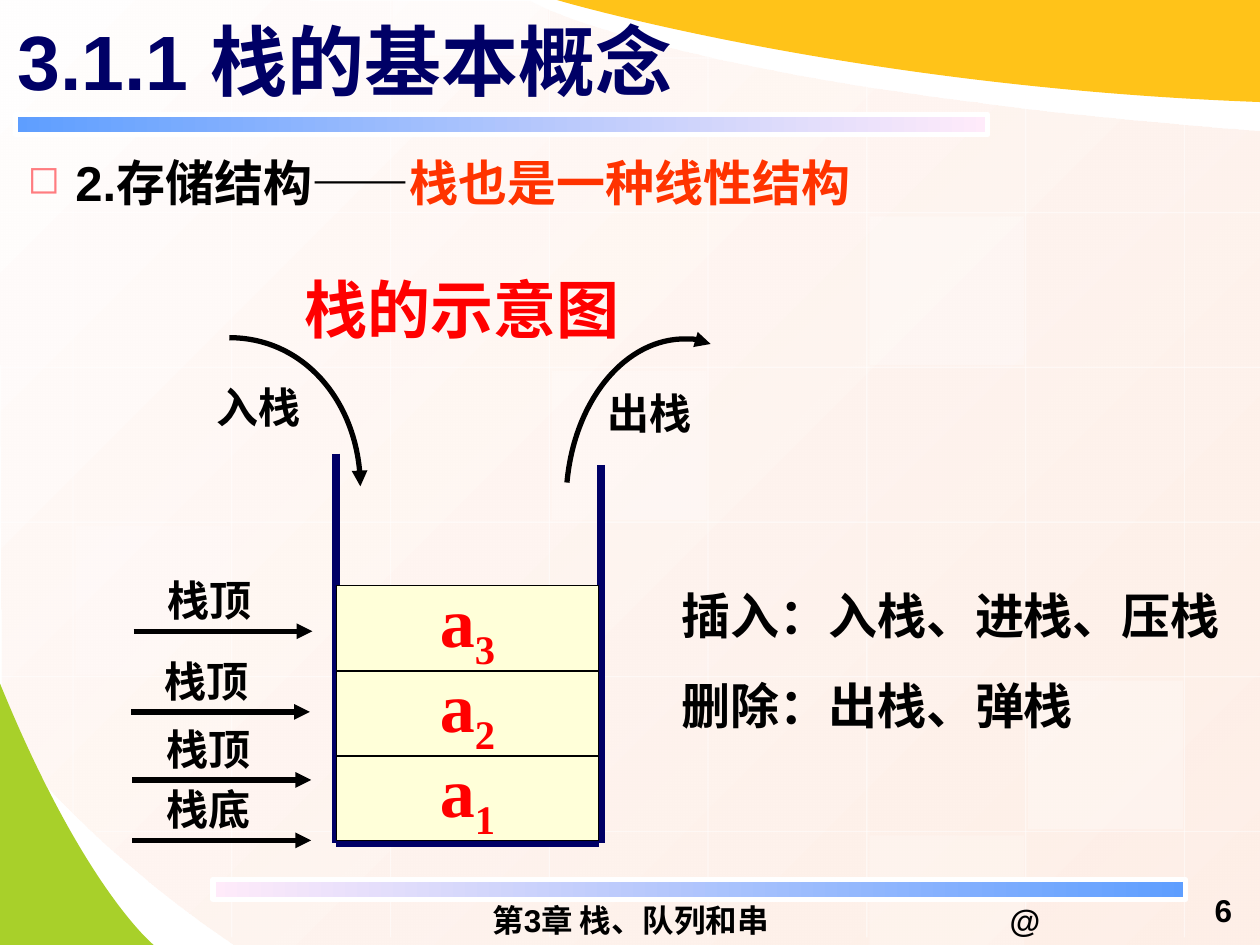
from dataclasses import dataclass

import pptx
import pptx.dml.color
import pptx.enum.shapes
import pptx.enum.text
import pptx.oxml.ns
import pptx.util
from lxml import etree

Color = pptx.dml.color.RGBColor
Align = pptx.enum.text.PP_ALIGN
Anchor = pptx.enum.text.MSO_ANCHOR
qn = pptx.oxml.ns.qn

WIDTH = pptx.util.Inches(10)
HEIGHT = pptx.util.Inches(7.5)
COLUMN = WIDTH / 100
ROW = HEIGHT / 75

WHITE = Color(0xFF, 0xFF, 0xFF)
BLACK = Color(0x00, 0x00, 0x00)
NAVY = Color(0x00, 0x00, 0x66)
RED = Color(0xFF, 0x00, 0x00)
ORANGE_RED = Color(0xFF, 0x33, 0x00)
CREAM = Color(0xFF, 0xFF, 0xD9)
GREEN = Color(0xA8, 0xD0, 0x2A)
AMBER = Color(0xFF, 0xC3, 0x19)
SNOW = Color(0xFF, 0xFE, 0xFE)
PEACH = Color(0xFE, 0xE9, 0xDE)
BLUE = Color(0x5E, 0x9E, 0xFF)
PINK = Color(0xFF, 0xEB, 0xFA)
BULLET = Color(0xFF, 0x7C, 0x80)


@dataclass
class Box:
    left: float
    top: float
    width: float
    height: float

    def inner(self, left, top, width, height):
        return Box(self.left + left, self.top + top, width, height)

    def point(self, x, y):
        return round((self.left + x) * COLUMN), round((self.top + y) * ROW)

    def frame(self):
        return (*self.point(0, 0), round(self.width * COLUMN), round(self.height * ROW))


def set_alpha(parent, percent):
    color = list(parent.iter(qn("a:srgbClr")))[-1]
    etree.SubElement(color, qn("a:alpha")).set("val", str(percent * 1000))


def add_arrowhead(properties):
    etree.SubElement(properties.find(qn("a:ln")), qn("a:tailEnd")).set("type", "triangle")


def blend(fill, first, last, angle):
    fill.gradient()
    fill.gradient_angle = angle
    for stop, color in zip(fill.gradient_stops, (first, last)):
        stop.color.rgb = color


def add_line(page, start, end, color, weight, alpha=None, arrow=False):
    line = page.shapes.add_connector(pptx.enum.shapes.MSO_CONNECTOR.STRAIGHT, *start, *end)
    line.line.color.rgb = color
    line.line.width = pptx.util.Pt(weight)
    properties = line._element.spPr
    if alpha:
        set_alpha(properties, alpha)
    if arrow:
        add_arrowhead(properties)
    etree.SubElement(properties, qn("a:effectLst"))


def add_rect(page, box, fill=None, outline=None, weight=0.75):
    rect = page.shapes.add_shape(pptx.enum.shapes.MSO_SHAPE.RECTANGLE, *box.frame())
    rect.shadow.inherit = False
    if fill is not None:
        rect.fill.solid()
        rect.fill.fore_color.rgb = fill
    if outline is None:
        rect.line.fill.background()
    else:
        rect.line.color.rgb = outline
        rect.line.width = pptx.util.Pt(weight)
    return rect


def bend_segments(outline, pieces):
    segments = iter(list(outline._element.iter(qn("a:lnTo"))))
    for piece in pieces:
        first, *others = [next(segments) for knot in piece]
        if others:
            first.tag = qn("a:cubicBezTo")
        for segment in others:
            first.append(segment[0])
            segment.getparent().remove(segment)


def add_outline(page, box, start, *pieces, closed=True):
    builder = page.shapes.build_freeform(*box.point(*start), scale=1.0)
    builder.add_line_segments([box.point(*knot) for piece in pieces for knot in piece],
                              close=closed)
    outline = builder.convert_to_shape()
    bend_segments(outline, pieces)
    outline.shadow.inherit = False
    if closed:
        outline.fill.solid()
        outline.line.fill.background()
    else:
        outline.fill.background()
        outline.line.color.rgb = BLACK
        outline.line.width = pptx.util.Pt(3)
        add_arrowhead(outline._element.spPr)
    return outline


def add_span(para, words, size, color, font):
    span = para.add_run()
    span.text = words
    span.font.size = pptx.util.Pt(size)
    span.font.bold = True
    span.font.name = font
    span.font.color.rgb = color
    return span


def add_text(page, box, lines, size, color=BLACK, font="Times New Roman",
             align=Align.LEFT, anchor=Anchor.TOP, inset=0.05, gap=0):
    frame = page.shapes.add_textbox(*box.frame()).text_frame
    frame.word_wrap = True
    frame.vertical_anchor = anchor
    frame.margin_top = frame.margin_bottom = pptx.util.Inches(inset)
    for index, spans in enumerate(lines):
        para = frame.add_paragraph() if index else frame.paragraphs[0]
        para.alignment = align
        if index:
            para.space_before = pptx.util.Pt(gap)
        for words, tint in spans:
            add_span(para, words, size, tint or color, font)
    return frame


def draw_backdrop(page, box):
    base = add_outline(page, box, (100.1, 10.4), ((100.1, 42.7), (100.1, 74.9), (100.1, 74.9)),
                       ((18.7, 75),), ((5.5, 66), (0.1, 58), (0.2, 58)),
                       ((-0.1, -0.1),), ((42.1, 0.1),),
                       ((42.1, 0.1), (53.7, 6.9), (100.1, 10.4)))
    blend(base.fill, SNOW, PEACH, 315)
    set_alpha(base._element.spPr, 70)
    hill = add_outline(page, box, (-0.1, 54), ((-0.1, 64.5), (-0.1, 75), (-0.1, 75)),
                       ((12.2, 75),), ((12.2, 75), (6.6, 70.5), (-0.1, 54)))
    hill.fill.fore_color.rgb = GREEN
    across, down = 12.6, 12.28
    for index, top in enumerate((0, 0, 0, 0, 4.3, 6.8, 8.5, 9.8)):
        x = 5.8 + across * index
        bottom = 64.6 if index == 0 else 74.4
        add_line(page, box.point(x, top), box.point(x, bottom), WHITE, 0.75, 50)
    for index in range(6):
        y = 4.6 + down * index
        left = 7.6 if index == 5 else 0
        right = 56.8 if index == 0 else 100
        add_line(page, box.point(right, y), box.point(left, y), WHITE, 0.75, 50)
    for column, row, alpha in ((3, 2, 25), (6, 4, 30), (0, 3, 20), (5, 5, 20),
                               (2, -1, 40), (2, 4, 30), (5, 1, 30)):
        y = 4.9 + down * row
        top, bottom = max(0, y), min(box.height, y + 11.8)
        tile = add_rect(page, box.inner(6 + across * column, top, 12.3, bottom - top), WHITE)
        set_alpha(tile._element.spPr, alpha)
    wave = add_outline(page, box, (100, 8.1), ((100, 4), (100, 0), (100, 0)), ((44.2, 0),),
                       ((44.2, 0), (67.4, 6.9), (100, 8.1)))
    wave.fill.fore_color.rgb = AMBER


def draw_bar(page, box, first, last):
    bar = add_rect(page, box, outline=WHITE, weight=3)
    blend(bar.fill, first, last, 0)


def draw_heading(page, box):
    draw_bar(page, box.inner(0.8, 9.4, 77.2, 1.6), BLUE, PINK)
    add_text(page, box.inner(0, 0, 90, 10.1), [[("3.1.1 栈的基本概念", None)]],
             44, NAVY, "Arial", anchor=Anchor.MIDDLE)


def draw_topic(page, box):
    frame = add_text(page, box, [[("2.存储结构——", None), ("栈也是一种线性结构", ORANGE_RED)]],
                     28, font="Arial")
    para = frame.paragraphs[0]
    para.line_spacing = 1.2
    properties = para._p.get_or_add_pPr()
    indent = pptx.util.Inches(0.38)
    properties.set("marL", str(indent))
    properties.set("indent", str(-indent))
    tint = etree.SubElement(properties, qn("a:buClr"))
    etree.SubElement(tint, qn("a:srgbClr")).set("val", str(BULLET))
    etree.SubElement(properties, qn("a:buSzPct")).set("val", "80000")
    etree.SubElement(properties, qn("a:buChar")).set("char", "◻")


def draw_footer(page, box):
    draw_bar(page, box.inner(16.9, 0, 77.2, 1.6), PINK, BLUE)
    for words, place in (("@", (69.7, 1.7, 23.3, 3)),
                         ("第3章 栈、队列和串", (34.2, 1.7, 31.7, 3)),
                         ("6", (93.8, 0, 6.6, 4.9))):
        add_text(page, box.inner(*place), [[(words, None)]], 18, font="Arial",
                 align=Align.CENTER, anchor=Anchor.MIDDLE, inset=0)


def draw_stack(page, box):
    floor, right = box.height, box.width
    for start, end in (((0, 0), (0, floor)), ((0, floor), (right - 0.2, floor)),
                       ((right, 0.9), (right, floor))):
        add_line(page, box.point(*start), box.point(*end), NAVY, 4.5)
    for level in (1, 2, 3):
        cell = add_rect(page, box.inner(0, 30.75 - 6.75 * level, 20.8, 6.7), CREAM, BLACK)
        frame = cell.text_frame
        frame.word_wrap = False
        frame.vertical_anchor = Anchor.MIDDLE
        frame.margin_top = 0
        para = frame.paragraphs[0]
        para.alignment = Align.CENTER
        add_span(para, "a", 40, RED, "Times New Roman")
        index = add_span(para, str(level), 40, RED, "Times New Roman")
        index._r.get_or_add_rPr().set("baseline", "-25000")


def draw_moves(page, box):
    add_outline(page, box, (2, 5.8), ((7.7, 5.8), (12.4, 11.1), (12.4, 17.6)), closed=False)
    add_outline(page, box, (28.8, 17.3), ((29.4, 10.7), (33.5, 5.8), (38.3, 5.9)),
                ((38.9, 5.9), (39.6, 6), (40.2, 6.3)), closed=False)
    add_text(page, box.inner(0, 8.8, 9.8, 5), [[("入栈", None)]], 24)
    add_text(page, box.inner(31, 9.3, 9.2, 5), [[("出栈", None)]], 24)
    add_text(page, box.inner(7, 0, 28.1, 7), [[("栈的示意图", None)]], 36, RED)


def draw_pointer(page, box, words):
    add_line(page, box.point(0, box.height), box.point(box.width, box.height),
             BLACK, 3, arrow=True)
    add_text(page, box.inner(1.7, 0, 10, 5), [[(words, None)]], 24)


def draw_operations(page, box):
    add_text(page, box, [[("插入：入栈、进栈、压栈", None)], [("删除：出栈、弹栈", None)]],
             28, gap=17.5)


def main():
    deck = pptx.Presentation()
    deck.slide_width, deck.slide_height = WIDTH, HEIGHT
    page = deck.slides.add_slide(deck.slide_layouts[6])
    draw_backdrop(page, Box(0, 0, 100, 75))
    draw_heading(page, Box(0.4, -0.3, 90, 11))
    draw_topic(page, Box(1.2, 10.7, 96.9, 57.5))
    draw_footer(page, Box(0, 69.8, 100, 5.2))
    draw_stack(page, Box(26.7, 36, 21, 30.9))
    draw_moves(page, Box(16.2, 21, 40.2, 18))
    for left, top, words in ((10.5, 61.7, "栈底"), (10.6, 45.1, "栈顶"),
                             (10.5, 56.9, "栈顶"), (10.4, 51.5, "栈顶")):
        draw_pointer(page, Box(left, top, 14.2, 5), words)
    draw_operations(page, Box(53.1, 46, 45.1, 12.8))
    deck.save("out.pptx")


if __name__ == "__main__":
    main()
